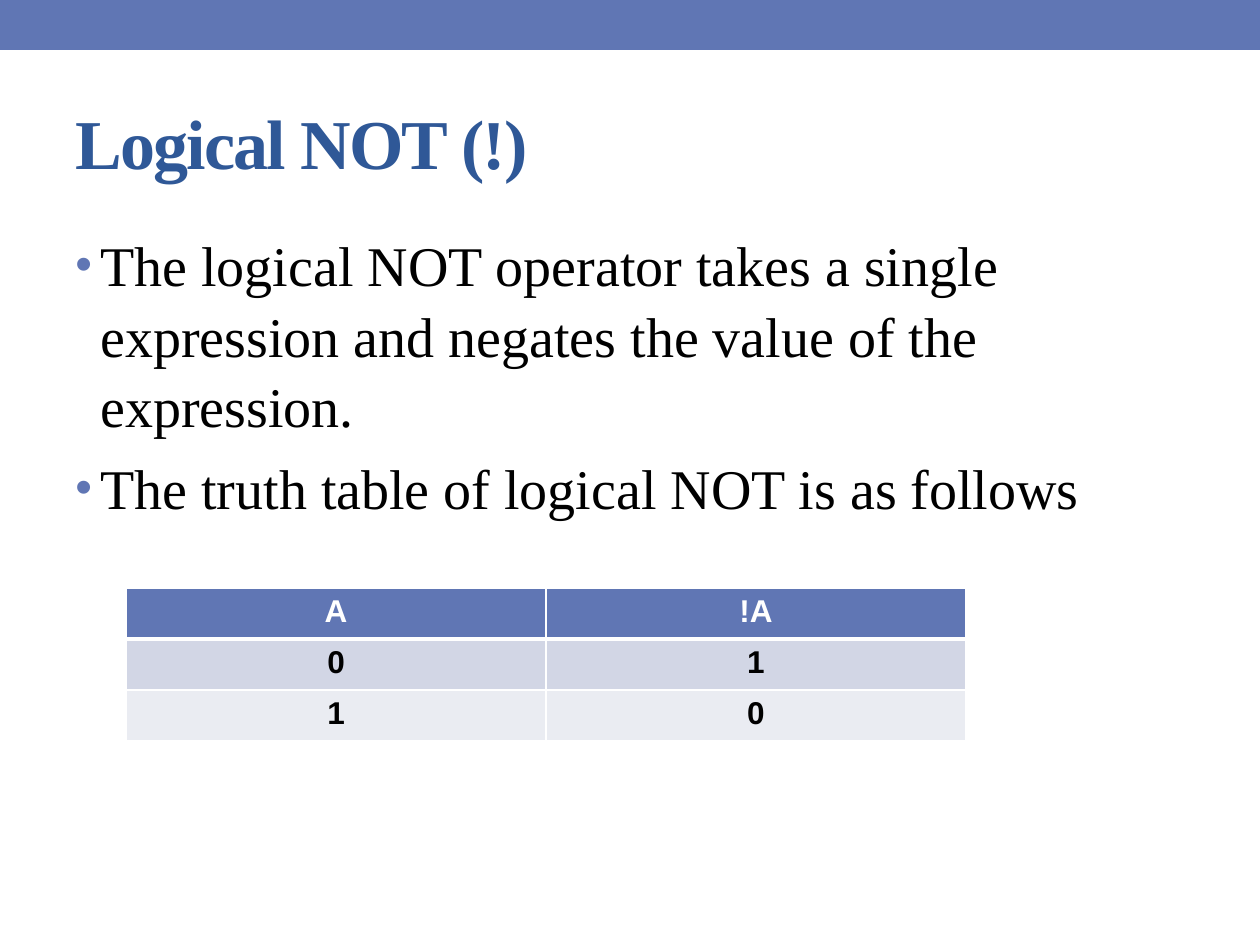
"""Builds the Logical NOT slide with its truth table."""
from lxml import etree
from pptx import Presentation
from pptx.dml.color import RGBColor
from pptx.enum.shapes import MSO_SHAPE
from pptx.enum.text import MSO_ANCHOR, PP_ALIGN
from pptx.oxml.ns import qn
from pptx.util import Emu, Pt

RECT, MIDDLE, TOP, CENTER = MSO_SHAPE.RECTANGLE, MSO_ANCHOR.MIDDLE, MSO_ANCHOR.TOP, PP_ALIGN.CENTER
PX = 914400 // 126
COLORS = {"accent": "6076B4", "title": "2F5897", "text": "000000", "white": "FFFFFF",
          "band_dark": "D2D6E5", "band_light": "EAECF2"}

TITLE = "Logical NOT (!)"
POINTS = ["The logical NOT operator takes a single expression and negates the value of the expression.",
          "The truth table of logical NOT is as follows"]
TRUTH_TABLE = [("A", "!A"), ("0", "1"), ("1", "0")]
ROW_STYLES = [("accent", "white", 3), ("band_dark", "text", 1), ("band_light", "text", 1)]

BAR = (0, 0, 1260, 50)
TITLE_BOX = (63, 73, 1134, 136)
BODY_BOX = (63, 221, 1134, 671)
TABLE_BOX = (126, 588, 840, 153)
INDENT = 25

TITLE_FONT = {"name": "Times New Roman", "size": Pt(40), "bold": True}
BODY_FONT = {"name": "Times New Roman", "size": Pt(32)}
CELL_FONT = {"name": "Arial", "size": Pt(18), "bold": True}


def px(*lengths):
    return [Emu(n * PX) for n in lengths]


def rgb(name):
    return RGBColor.from_string(COLORS[name])


def write(p, text, font, color):
    r = p.add_run()
    r.text = text
    for key, value in font.items():
        setattr(r.font, key, value)
    r.font.color.rgb = rgb(color)
    return r


def add_text_frame(slide, box, anchor):
    tf = slide.shapes.add_textbox(*px(*box)).text_frame
    tf.word_wrap = True
    tf.vertical_anchor = anchor
    return tf


def add_bullet(p):
    pPr = p._p.get_or_add_pPr()
    pPr.set("marL", str(INDENT * PX))
    pPr.set("indent", str(-INDENT * PX))
    bullet_color = etree.SubElement(pPr, qn("a:buClr"))
    etree.SubElement(bullet_color, qn("a:srgbClr"), val=COLORS["accent"])
    etree.SubElement(pPr, qn("a:buSzPct"), val="85000")
    etree.SubElement(pPr, qn("a:buFont"), typeface="Arial")
    etree.SubElement(pPr, qn("a:buChar"), char="•")


def add_borders(cell, top, bottom):
    tcPr = cell._tc.get_or_add_tcPr()
    for i, (side, width) in enumerate({"L": 1, "R": 1, "T": top, "B": bottom}.items()):
        line = etree.Element(qn(f"a:ln{side}"), w=str(Pt(width)))
        fill = etree.SubElement(line, qn("a:solidFill"))
        etree.SubElement(fill, qn("a:srgbClr"), val=COLORS["white"])
        tcPr.insert(i, line)


prs = Presentation()
prs.slide_width, prs.slide_height = px(1260, 945)
s = prs.slides.add_slide(prs.slide_layouts[6])

bar = s.shapes.add_shape(RECT, *px(*BAR))
bar.shadow.inherit = False
bar.fill.solid()
bar.fill.fore_color.rgb = rgb("accent")
bar.line.fill.background()

title = add_text_frame(s, TITLE_BOX, MIDDLE).paragraphs[0]
write(title, TITLE, TITLE_FONT, "title")._r.get_or_add_rPr().set("spc", "-100")

body = add_text_frame(s, BODY_BOX, TOP)
for i, point in enumerate(POINTS):
    p = body.add_paragraph() if i else body.paragraphs[0]
    p.line_spacing = 1.05
    p.space_before = Pt(6.4)
    add_bullet(p)
    write(p, point, BODY_FONT, "text")

table = s.shapes.add_table(len(TRUTH_TABLE), len(TRUTH_TABLE[0]), *px(*TABLE_BOX)).table
top = 1
for i, (values, (fill, color, bottom)) in enumerate(zip(TRUTH_TABLE, ROW_STYLES)):
    for j, value in enumerate(values):
        cell = table.cell(i, j)
        cell.fill.solid()
        cell.fill.fore_color.rgb = rgb(fill)
        add_borders(cell, top, bottom)
        p = cell.text_frame.paragraphs[0]
        p.alignment = CENTER
        write(p, value, CELL_FONT, color)
    top = bottom

prs.save("out.pptx")
